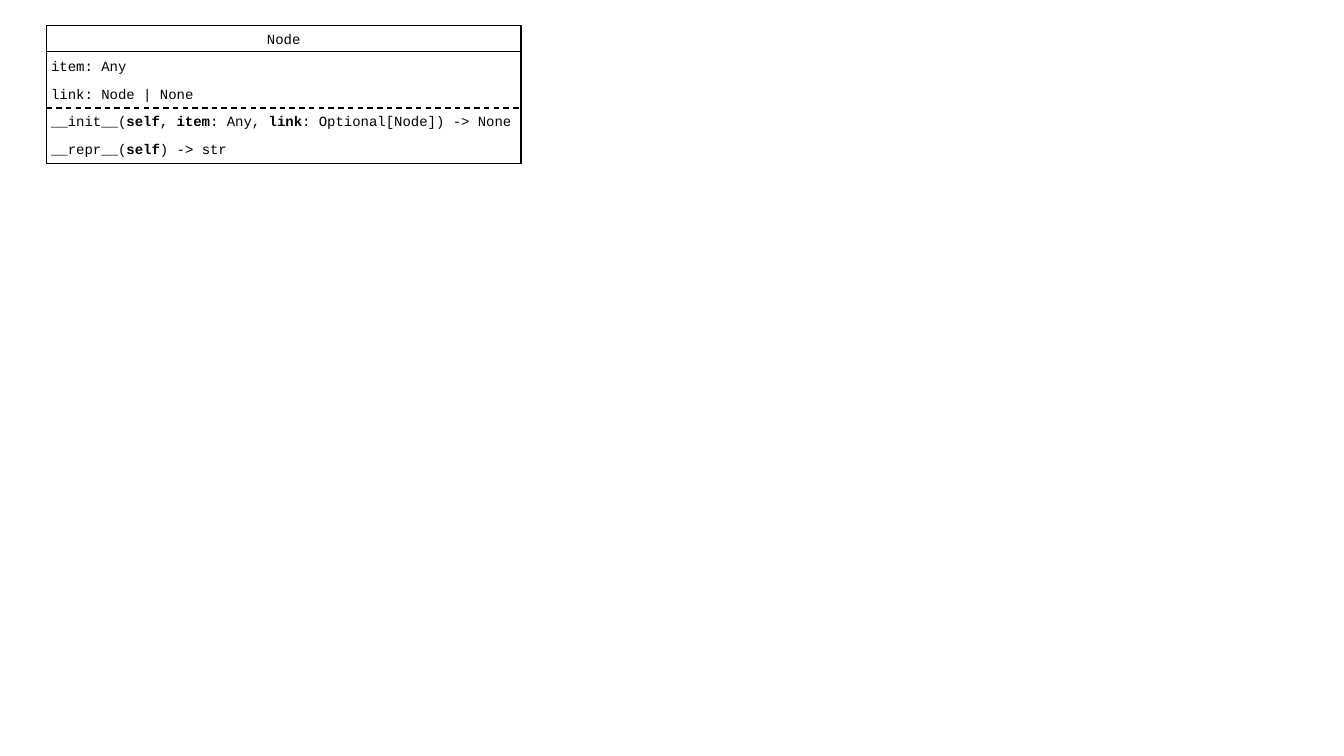
from pptx import Presentation
from pptx.dml.color import RGBColor
from pptx.enum.dml import MSO_LINE
from pptx.enum.shapes import MSO_CONNECTOR, MSO_SHAPE
from pptx.enum.text import MSO_AUTO_SIZE, PP_ALIGN
from pptx.oxml.ns import qn
from pptx.util import Cm, Pt
from lxml.etree import SubElement

COLOURS = {"ink": "000000"}
FONT = "Courier New"
LEFT, TOP, WIDTH, HEIGHT = 1.17, 0.64, 11.96, 3.48
TEXT_LEFT, TEXT_HEIGHT = 1.04, 0.69
FIRST_ROW, ROW_STEP = 1.32, 0.7
HEADER_LINE = 1.3
MEMBERS = [
    (2.54, ["item: Any"]),
    (4.17, ["link: Node | None"]),
    (12.24, ["__init__(", "self", ", ", "item", ": Any, ", "link",
             ": Optional[Node]) -> None"]),
    (5.03, ["__repr__(", "self", ") -> str"]),
]
ATTRIBUTE_COUNT = 2


def ink():
    return RGBColor.from_string(COLOURS["ink"])


def style_line(line):
    line.color.rgb = ink()
    line.width = Pt(1)


def add_label(page, left, top, width, pieces, align=PP_ALIGN.LEFT):
    box = page.shapes.add_textbox(Cm(left), Cm(top), Cm(width), Cm(TEXT_HEIGHT))
    frame = box.text_frame
    frame.word_wrap = True
    frame.auto_size = MSO_AUTO_SIZE.SHAPE_TO_FIT_TEXT
    para = frame.paragraphs[0]
    para.alignment = align
    for index, piece in enumerate(pieces):
        span = para.add_run()
        span.text = piece
        span.font.name = FONT
        span.font.size = Pt(10)
        span.font.bold = index % 2 == 1
        span.font.color.rgb = ink()


def add_frame(page):
    box = page.shapes.add_shape(
        MSO_SHAPE.RECTANGLE, Cm(LEFT), Cm(TOP), Cm(WIDTH), Cm(HEIGHT))
    box.shadow.inherit = False
    box.fill.background()
    style_line(box.line)


def add_divider(page, top, dash=None):
    divider = page.shapes.add_connector(
        MSO_CONNECTOR.STRAIGHT, Cm(LEFT), Cm(top), Cm(LEFT + WIDTH), Cm(top))
    style_line(divider.line)
    if dash:
        divider.line.dash_style = dash
    SubElement(divider._element.spPr, qn("a:effectLst"))


def main():
    deck = Presentation()
    deck.slide_width, deck.slide_height = Cm(33.87), Cm(19.05)
    page = deck.slides.add_slide(deck.slide_layouts[6])

    add_label(page, LEFT, TOP, WIDTH, ["Node"], PP_ALIGN.CENTER)
    for row, (width, pieces) in enumerate(MEMBERS):
        add_label(page, TEXT_LEFT, FIRST_ROW + row * ROW_STEP, width, pieces)

    add_frame(page)
    add_divider(page, HEADER_LINE)
    add_divider(page, FIRST_ROW + ATTRIBUTE_COUNT * ROW_STEP, MSO_LINE.DASH)
    deck.save("out.pptx")


if __name__ == "__main__":
    main()
